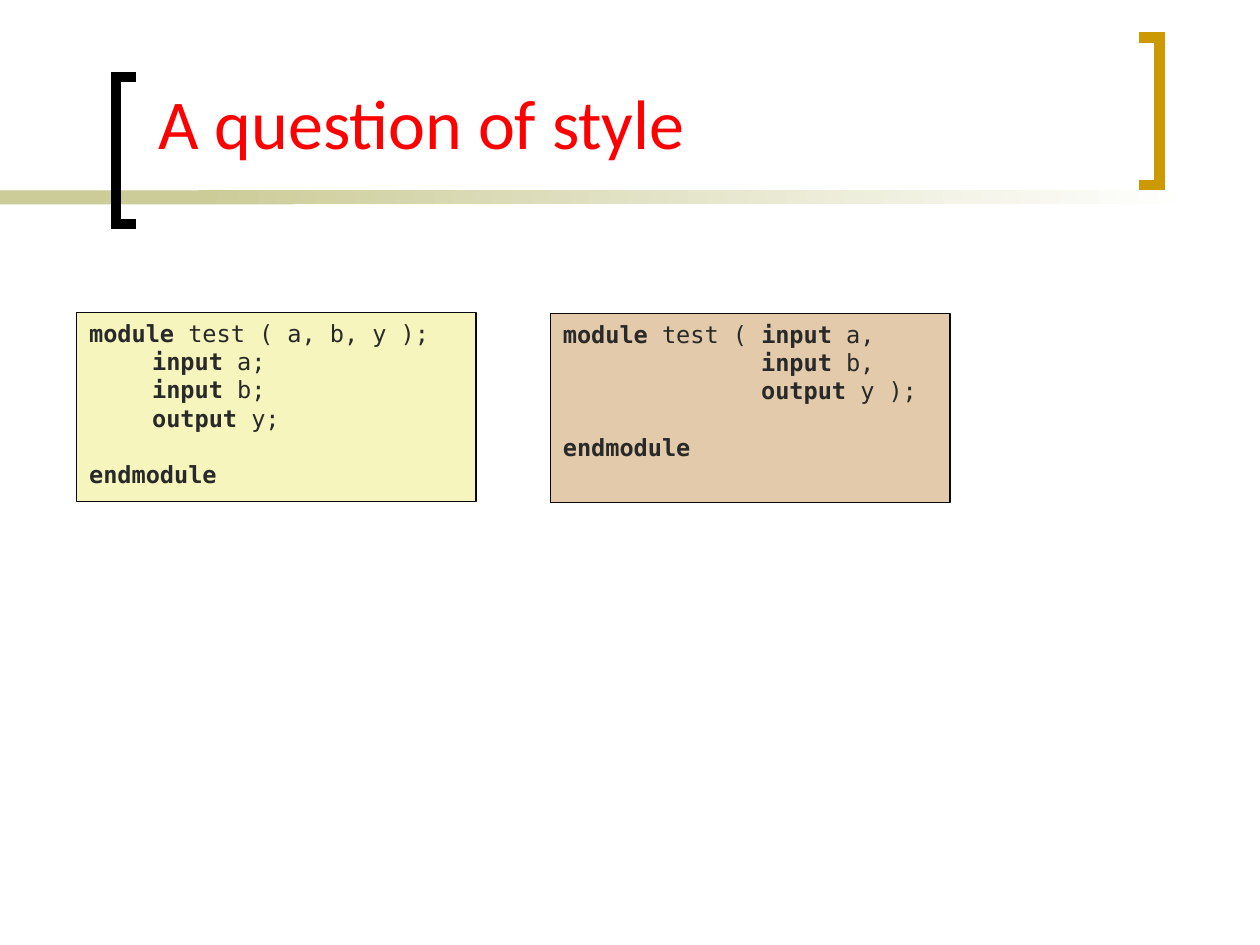
import pptx
import pptx.util
import pptx.dml.color
import pptx.enum.shapes
import pptx.enum.text
import pptx.oxml
import pptx.oxml.ns

Cm = pptx.util.Cm
Pt = pptx.util.Pt

COLORS = {
    "band": "CCCC99",
    "white": "FFFFFF",
    "black": "000000",
    "gold": "CC9900",
    "title": "FF0000",
    "code": "292929",
    "edge": "080808",
    "yellow": "F6F5BD",
    "tan": "E2CAAA",
}
SIZE = 13.5
OLD = ["*module* test ( a, b, y );", "\t*input* a;", "\t*input* b;",
       "\t*output* y;", "*endmodule*"]
PAD = " " * 14
NEW = ["*module* test ( *input* a,", PAD + "*input* b,",
       PAD + "*output* y );", "*endmodule*"]


def rgb(name):
    return pptx.dml.color.RGBColor.from_string(COLORS[name])


def add_rect(slide, left, top, width, height, fill):
    rect = slide.shapes.add_shape(
        pptx.enum.shapes.MSO_SHAPE.RECTANGLE,
        Cm(left), Cm(top), Cm(width), Cm(height))
    rect.shadow.inherit = False
    rect.fill.solid()
    rect.fill.fore_color.rgb = rgb(fill)
    rect.line.fill.background()
    return rect


def add_fade(slide, left, top, width, height):
    rect = add_rect(slide, left, top, width, height, "band")
    rect.fill.gradient()
    rect.fill.gradient_angle = 0
    for stop, place, name in zip(rect.fill.gradient_stops, (0, 1), ("band", "white")):
        stop.position = place
        stop.color.rgb = rgb(name)


def add_bracket(slide, tip, spine, top, foot, color):
    pen = slide.shapes.build_freeform(Cm(tip), Cm(top))
    pen.add_line_segments(
        [(Cm(spine), Cm(top)), (Cm(spine), Cm(foot)), (Cm(tip), Cm(foot))],
        close=False)
    shape = pen.convert_to_shape()
    shape.shadow.inherit = False
    shape.fill.background()
    shape.line.color.rgb = rgb(color)
    shape.line.width = Pt(6)
    edge = shape.line._get_or_add_ln()
    edge.append(pptx.oxml.parse_xml(
        '<a:miter %s lim="800000"/>' % pptx.oxml.ns.nsdecls("a")))


def add_title(slide, text):
    box = slide.shapes.add_textbox(Cm(2.95), Cm(1.32), Cm(20), Cm(2.11))
    frame = box.text_frame
    frame.word_wrap = True
    frame.vertical_anchor = pptx.enum.text.MSO_ANCHOR.BOTTOM
    para = frame.paragraphs[0]
    para.text = text
    para.font.name = "Calibri"
    para.font.size = Pt(40)
    para.font.color.rgb = rgb("title")


def add_code(slide, left, top, fill, lines):
    box = add_rect(slide, left, top, 8.05, 3.81, fill)
    box.line.color.rgb = rgb("edge")
    box.line.width = Pt(0.75)
    frame = box.text_frame
    frame.word_wrap = True
    frame.vertical_anchor = pptx.enum.text.MSO_ANCHOR.TOP
    for row, line in enumerate(lines):
        para = frame.add_paragraph() if row else frame.paragraphs[0]
        para.alignment = pptx.enum.text.PP_ALIGN.LEFT
        para.font.name = "DejaVu Sans Mono"
        para.font.size = Pt(SIZE)
        para.font.color.rgb = rgb("code")
        for part, text in enumerate(line.split("*")):
            if text:
                run = para.add_run()
                run.text = text
                run.font.bold = part % 2 == 1
    para.space_before = Pt(16)


def main():
    deck = pptx.Presentation()
    deck.slide_width = Cm(25.4)
    deck.slide_height = Cm(19.05)
    slide = deck.slides.add_slide(deck.slide_layouts[6])
    add_rect(slide, 0, 3.84, 5.92, 0.28, "band")
    add_fade(slide, 4.01, 3.84, 20.12, 0.28)
    add_bracket(slide, 2.74, 2.34, 1.55, 4.52, "black")
    add_bracket(slide, 22.96, 23.37, 0.76, 3.73, "gold")
    add_title(slide, "A question of style")
    add_code(slide, 1.55, 6.3, "yellow", OLD)
    add_code(slide, 11.1, 6.32, "tan", NEW)
    deck.save("out.pptx")


if __name__ == "__main__":
    main()
